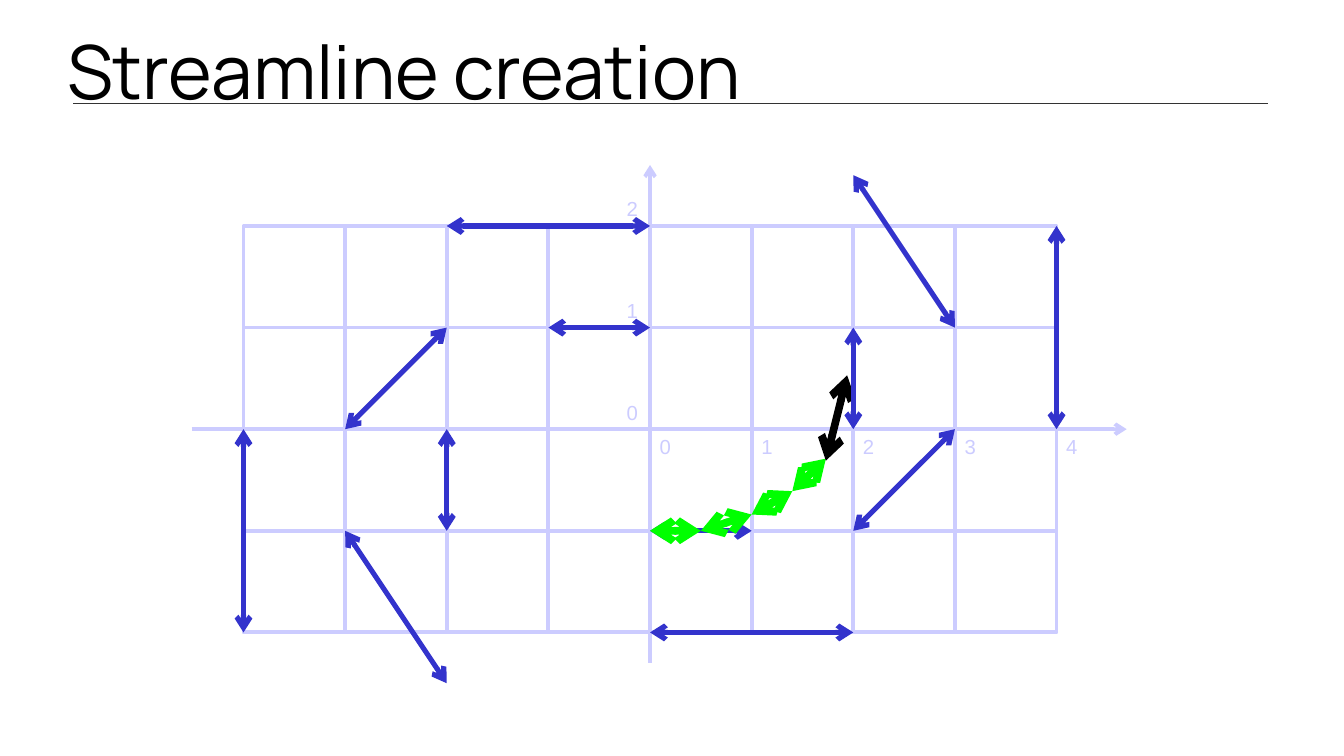
from dataclasses import dataclass
from itertools import pairwise, product
from typing import Any

import lxml.etree
import pptx
import pptx.dml.color
import pptx.enum.shapes
import pptx.enum.text
import pptx.oxml.ns
import pptx.util

Inches = pptx.util.Inches
Point = tuple[float, float]

COLORS = {
    "rule": "333333",
    "grid": "CCCCFF",
    "vector": "3333CC",
    "streamline": "00FF00",
    "next_step": "000000",
    "title": "000000",
}
ORIGIN_X, ORIGIN_Y = 5.33, 3.52
UNIT = 5 / 6  # inches per grid unit
COLUMNS, ROWS = range(-4, 4), range(2, -2, -1)
LABEL_WIDTH, LABEL_HEIGHT = 0.29, 0.3

FRAME_FORMAT = {
    "margin_left": 0,
    "margin_right": 0,
    "margin_top": 0,
    "margin_bottom": 0,
    "vertical_anchor": pptx.enum.text.MSO_ANCHOR.MIDDLE,
    "auto_size": pptx.enum.text.MSO_AUTO_SIZE.NONE,
}
TITLE_FONT = {"name": "Manrope", "size": pptx.util.Pt(44), "bold": False}
LABEL_FONT = {"name": "Arial", "size": pptx.util.Pt(12), "bold": False}


@dataclass(frozen=True)
class Arrow:
    """A line with arrowheads; start and end are in grid units."""
    start: Point
    end: Point
    color: str = "vector"
    width: float = 3
    both_ends: bool = True


@dataclass(frozen=True)
class Label:
    text: str
    left: float
    top: float


AXES = [
    Arrow((-4.51, 0), (4.69, 0), "grid", 2.25, both_ends=False),
    Arrow((0, -2.3), (0, 2.6), "grid", 2.25, both_ends=False),
]
LABELS = [
    Label(str(value), ORIGIN_X - 0.02 + value * UNIT, ORIGIN_Y - 0.01)
    for value in range(5)
] + [
    Label(str(value), ORIGIN_X - LABEL_WIDTH, ORIGIN_Y - 0.29 - value * UNIT)
    for value in range(3)
]
START_VECTOR = Arrow((0, -1), (1, -1))
STREAMLINE_POINTS = [(0, -1), (0.5, -1), (1, -0.84), (1.4, -0.61), (1.73, -0.29)]
STREAMLINE = [
    Arrow(start, end, "streamline", 4.5)
    for start, end in pairwise(STREAMLINE_POINTS)
]
NEXT_STEP = Arrow((1.73, -0.31), (1.94, 0.53), "next_step", 4.5)
FIELD_VECTORS = [
    Arrow((2, 0), (2, 1)),
    Arrow((4, 0), (4, 2)),
    Arrow((-4, 0), (-4, -2)),
    Arrow((-2, 0), (-2, -1)),
    Arrow((0, 1), (-1, 1)),
    Arrow((0, 2), (-2, 2)),
    Arrow((0, -2), (2, -2)),
    Arrow((2, -1), (3, 0)),
    Arrow((-2, 1), (-3, 0)),
    Arrow((3, 1), (2, 2.5)),
    Arrow((-3, -1), (-2, -2.5)),
]


def to_slide(point: Point) -> Point:
    """Turn grid units into inches on the slide."""
    return ORIGIN_X + point[0] * UNIT, ORIGIN_Y - point[1] * UNIT


def rgb(name: str) -> pptx.dml.color.RGBColor:
    return pptx.dml.color.RGBColor.from_string(COLORS[name])


def apply_format(target: Any, values: dict[str, Any]) -> None:
    for name, value in values.items():
        setattr(target, name, value)


def format_line(line: Any, color: str, width: float) -> None:
    line.color.rgb = rgb(color)
    line.width = pptx.util.Pt(width)


def add_line(slide: Any, start: Point, end: Point, color: str, width: float) -> Any:
    """Draw a straight line between two places given in inches."""
    connector = slide.shapes.add_connector(
        pptx.enum.shapes.MSO_CONNECTOR.STRAIGHT,
        *(Inches(value) for value in (*start, *end)),
    )
    format_line(connector.line, color, width)
    properties = connector.element.spPr
    lxml.etree.SubElement(properties, pptx.oxml.ns.qn("a:effectLst"))
    return connector


def add_arrow(slide: Any, arrow: Arrow) -> None:
    connector = add_line(
        slide, to_slide(arrow.start), to_slide(arrow.end), arrow.color, arrow.width
    )
    outline = connector.element.spPr.find(pptx.oxml.ns.qn("a:ln"))
    for tag in ("a:headEnd", "a:tailEnd") if arrow.both_ends else ("a:tailEnd",):
        lxml.etree.SubElement(outline, pptx.oxml.ns.qn(tag), type="arrow")


def add_cell(slide: Any, column: int, row: int) -> None:
    left, top = to_slide((column, row))
    cell = slide.shapes.add_shape(
        pptx.enum.shapes.MSO_SHAPE.RECTANGLE,
        *(Inches(value) for value in (left, top, UNIT, UNIT)),
    )
    cell.shadow.inherit = False
    cell.fill.background()
    format_line(cell.line, "grid", 2.25)


def write_text(
    shape: Any, text: str, font: dict[str, Any], color: str, alignment: Any
) -> None:
    apply_format(shape.text_frame, FRAME_FORMAT)
    paragraph = shape.text_frame.paragraphs[0]
    paragraph.alignment = alignment
    run = paragraph.add_run()
    run.text = text
    apply_format(run.font, font)
    run.font.color.rgb = rgb(color)


def add_label(slide: Any, label: Label) -> None:
    box = slide.shapes.add_textbox(
        Inches(label.left), Inches(label.top),
        Inches(LABEL_WIDTH), Inches(LABEL_HEIGHT),
    )
    box.text_frame.word_wrap = True
    write_text(box, label.text, LABEL_FONT, "grid", pptx.enum.text.PP_ALIGN.CENTER)


def add_title(slide: Any, text: str) -> None:
    title = slide.shapes.title
    apply_format(title, {
        "left": Inches(0.55), "top": Inches(0.16),
        "width": Inches(9.92), "height": Inches(0.83),
    })
    write_text(title, text, TITLE_FONT, "title", pptx.enum.text.PP_ALIGN.LEFT)


def main() -> None:
    presentation = pptx.Presentation()
    presentation.slide_width = Inches(11.02)
    presentation.slide_height = Inches(6.2)
    slide = presentation.slides.add_slide(presentation.slide_layouts[5])

    add_title(slide, "Streamline creation")
    add_line(slide, (0.6, 0.85), (10.4, 0.85), "rule", 1)
    for row, column in product(ROWS, COLUMNS):
        add_cell(slide, column, row)
    for axis in AXES:
        add_arrow(slide, axis)
    for label in LABELS:
        add_label(slide, label)
    for arrow in [START_VECTOR, *STREAMLINE, NEXT_STEP, *FIELD_VECTORS]:
        add_arrow(slide, arrow)

    presentation.save("out.pptx")


if __name__ == "__main__":
    main()
